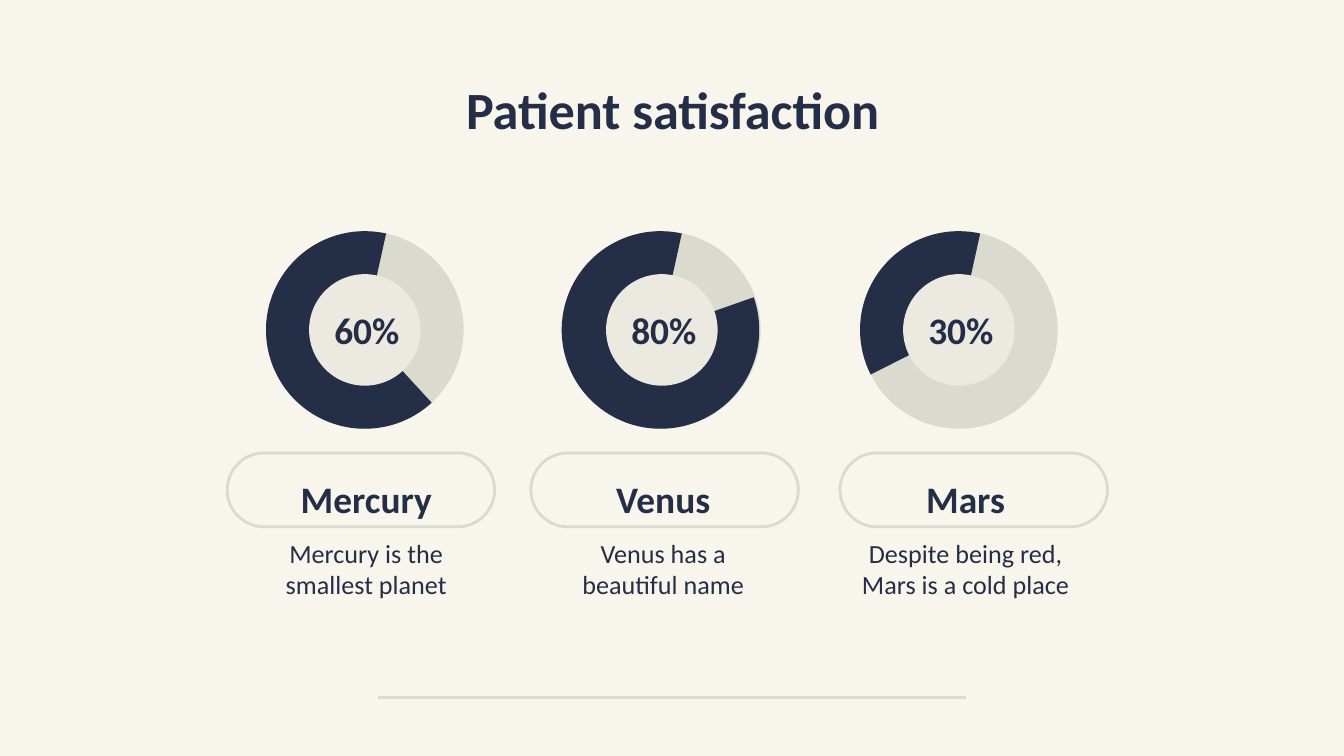
from dataclasses import dataclass

from pptx import Presentation
from pptx.dml.color import RGBColor
from pptx.enum.shapes import MSO_CONNECTOR, MSO_SHAPE
from pptx.enum.text import MSO_ANCHOR, PP_ALIGN
from pptx.oxml.ns import qn
from pptx.util import Inches, Pt
from lxml.etree import SubElement

NAVY, SAGE, CREAM, HOLE = "252E47", "DADACE", "F8F5EC", "ECE9E1"
FONT = "Calibri"
RING_LEFT, RING_STEP, RING_TOP, RING_SIZE = 1.98, 2.21, 1.72, 1.47
HOLE_SIZE = 0.83
ARC_START = 77.55
DEGREE = 0.6


@dataclass
class Planet:
    name: str
    percent: str
    description: str
    text_left: float
    pill_left: float
    arc_end: float
    thickness: float
    arc_shift: float = 0


PLANETS = [
    Planet("Mercury", "60%", "Mercury is the smallest planet", 1.74, 1.69, 312.57, 0.24),
    Planet("Venus", "80%", "Venus has a\nbeautiful name", 3.95, 3.95, 19.33, 0.23, -0.01),
    Planet("Mars", "30%", "Despite being red, Mars is a cold place", 6.2, 6.25, 206.79, 0.22),
]


def color(value: str) -> RGBColor:
    return RGBColor.from_string(value)


def add_text(s, text: str, left: float, top: float, width: float, height: float, *,
             size: float, bold: bool = False, anchor=MSO_ANCHOR.MIDDLE, spacing=None):
    sp = s.shapes.add_textbox(Inches(left), Inches(top), Inches(width), Inches(height))
    tf = sp.text_frame
    tf.word_wrap = True
    tf.vertical_anchor = anchor
    tf.margin_left = tf.margin_right = tf.margin_top = tf.margin_bottom = Inches(0.1)
    tf.text = text
    for p in tf.paragraphs:
        p.alignment = PP_ALIGN.CENTER
        p.line_spacing = spacing
        for r in p.runs:
            r.font.name = FONT
            r.font.size = Pt(size)
            r.font.bold = bold
            r.font.color.rgb = color(NAVY)
    return sp


def add_shape(s, kind, left: float, top: float, width: float, height: float, *,
              fill=None, line=None):
    sp = s.shapes.add_shape(kind, Inches(left), Inches(top), Inches(width), Inches(height))
    sp.shadow.inherit = False
    if fill:
        sp.fill.solid()
        sp.fill.fore_color.rgb = color(fill)
    else:
        sp.fill.background()
    if line:
        sp.line.color.rgb = color(line)
        sp.line.width = Pt(1.5)
    else:
        sp.line.fill.background()
    return sp


def add_rule(s, left: float, right: float, y: float):
    sp = s.shapes.add_connector(MSO_CONNECTOR.STRAIGHT, Inches(left), Inches(y),
                                Inches(right), Inches(y))
    sp.line.color.rgb = color(SAGE)
    sp.line.width = Pt(1.5)
    SubElement(sp._element.spPr, qn("a:effectLst"))


def add_ring(s, planet: Planet, left: float):
    add_shape(s, MSO_SHAPE.OVAL, left, RING_TOP, RING_SIZE, RING_SIZE, fill=SAGE)
    arc = add_shape(s, MSO_SHAPE.BLOCK_ARC, left + planet.arc_shift, RING_TOP,
                    RING_SIZE, RING_SIZE, fill=NAVY)
    arc.rotation = 180
    arc._element.spPr.xfrm.set("flipH", "1")
    arc.adjustments[0] = ARC_START * DEGREE
    arc.adjustments[1] = planet.arc_end * DEGREE
    arc.adjustments[2] = planet.thickness
    inset = (RING_SIZE - HOLE_SIZE) / 2
    add_shape(s, MSO_SHAPE.OVAL, left + inset, RING_TOP + inset, HOLE_SIZE, HOLE_SIZE, fill=HOLE)
    add_text(s, planet.percent, left + 0.25, 2.17, 1, 0.57, size=20, bold=True)


def add_planet(s, planet: Planet, ring_left: float):
    add_ring(s, planet, ring_left)
    add_text(s, planet.description, planet.text_left, 3.88, 1.97, 0.7, size=14)
    add_text(s, planet.name, planet.text_left, 3.39, 1.97, 0.5, size=20, bold=True,
             anchor=MSO_ANCHOR.TOP, spacing=1.15)
    pill = add_shape(s, MSO_SHAPE.ROUNDED_RECTANGLE, planet.pill_left, 3.37, 1.99, 0.55, line=SAGE)
    pill.adjustments[0] = 0.5


def main():
    """Build the patient satisfaction slide with three progress rings."""
    prs = Presentation()
    prs.slide_width, prs.slide_height = Inches(10), Inches(10 * 9 / 16)
    s = prs.slides.add_slide(prs.slide_layouts[6])
    s.background.fill.solid()
    s.background.fill.fore_color.rgb = color(CREAM)
    add_rule(s, 2.81, 7.19, 5.19)
    add_text(s, "Patient satisfaction", 0.79, 0.49, 8.43, 0.63, size=28, bold=True)
    for i, planet in enumerate(PLANETS):
        add_planet(s, planet, RING_LEFT + i * RING_STEP)
    prs.save("out.pptx")


if __name__ == "__main__":
    main()
